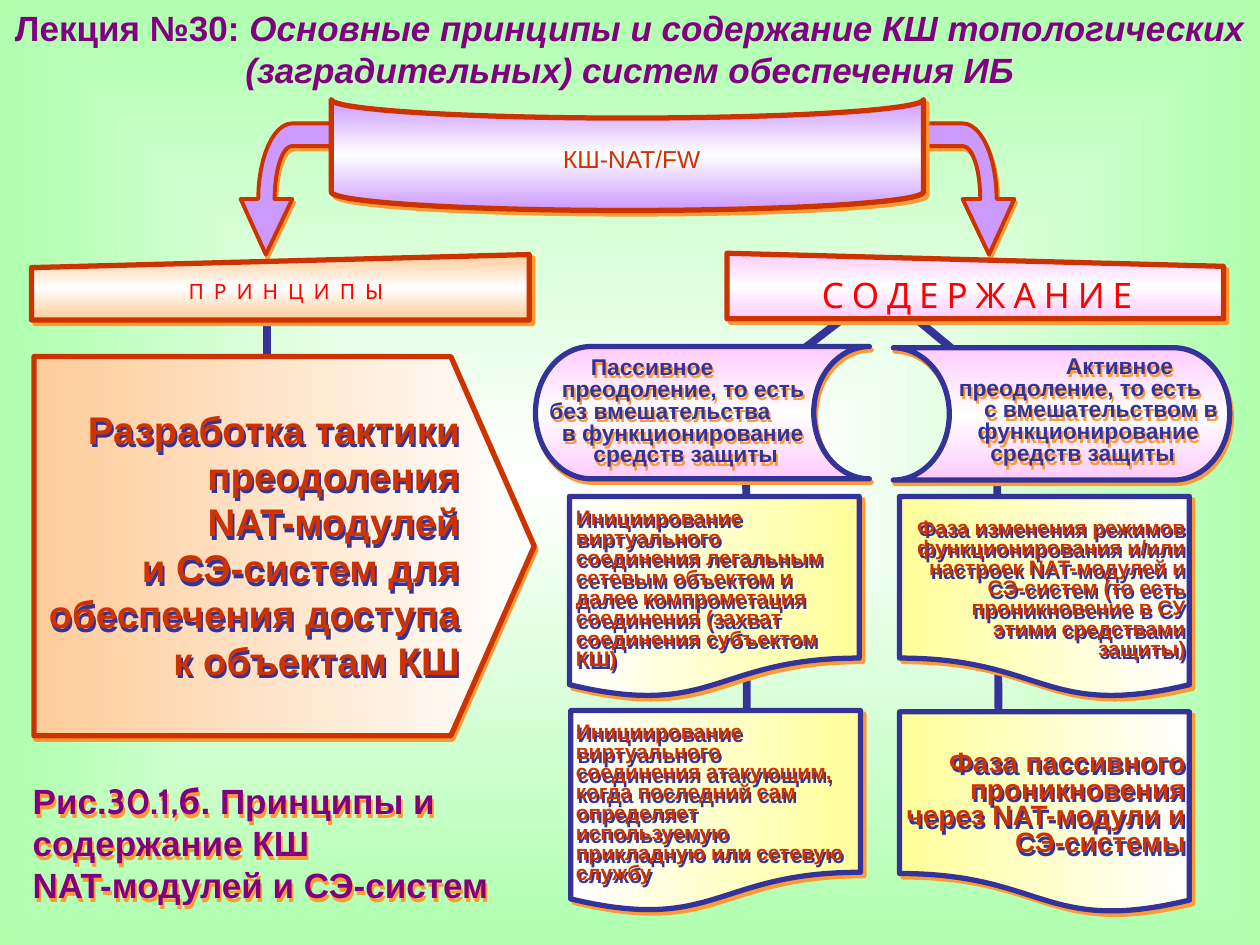
from dataclasses import dataclass

from lxml.etree import SubElement
from pptx import Presentation
from pptx.dml.color import RGBColor
from pptx.enum.shapes import MSO_CONNECTOR, MSO_SHAPE
from pptx.enum.text import MSO_ANCHOR, MSO_AUTO_SIZE, PP_ALIGN
from pptx.oxml import parse_xml
from pptx.oxml.ns import nsdecls, qn
from pptx.util import Inches, Pt


@dataclass(frozen=True)
class Theme:
    green: str = "AFFFAF"
    white: str = "FFFFFF"
    purple: str = "800080"
    navy: str = "333399"
    rust: str = "CC3300"
    red: str = "FF0000"
    orange: str = "FF9933"
    peach: str = "FFCC99"
    lilac: str = "CC99FF"
    pink: str = "FFCCFF"
    yellow: str = "FFFF99"
    font: str = "Arial"
    label_font: str = "Cabin"
    heading: float = 20
    tactics: float = 22
    phase: float = 16
    banner: float = 14
    way: float = 13
    small: float = 12


THEME = Theme()


@dataclass(frozen=True)
class Box:
    left: float
    top: float
    width: float
    height: float

    def lengths(self) -> list:
        return [Inches(v) for v in (self.left, self.top, self.width, self.height)]


@dataclass(frozen=True)
class Style:
    size: float
    color: str
    bold: bool = True
    italic: bool = False
    font: str = THEME.font
    spacing: float = 0


@dataclass(frozen=True)
class Card:
    box: Box
    text_box: Box
    lines: tuple
    size: float
    flipped: bool


def set_gradient(fill_format, parent, colors: tuple, angle: int | None) -> None:
    """Replace the fill of parent by a gradient; without an angle it spreads from the centre."""
    fill_format.solid()
    last = len(colors) - 1
    stops = "".join(
        f'<a:gs pos="{100000 * i // last}"><a:srgbClr val="{color}"/></a:gs>'
        for i, color in enumerate(colors)
    )
    if angle is None:
        shade = '<a:path path="shape"><a:fillToRect l="50000" t="50000" r="50000" b="50000"/></a:path>'
    else:
        shade = f'<a:lin ang="{angle * 60000}" scaled="0"/>'
    gradient = parse_xml(f'<a:gradFill {nsdecls("a")} rotWithShape="1"><a:gsLst>{stops}</a:gsLst>{shade}</a:gradFill>')
    solid = parent.find(qn("a:solidFill"))
    parent.replace(solid, gradient)


def add_shadow(shape, color: str, distance: float = 2.2, angle: int = 63) -> None:
    shape.shadow.inherit = False
    effects = shape._element.spPr.find(qn("a:effectLst"))
    outer = SubElement(effects, qn("a:outerShdw"), dist=str(Pt(distance)), dir=str(angle * 60000),
                       algn="ctr", rotWithShape="0")
    SubElement(outer, qn("a:srgbClr"), val=color)


def set_line(shape, color: str, width: float) -> None:
    shape.line.color.rgb = RGBColor.from_string(color)
    shape.line.width = Pt(width)


def add_panel(slide, kind, box: Box, colors: tuple, angle: int, border: str,
              deep: bool = True, flipped: bool = False, rotation: int = 0):
    shape = slide.shapes.add_shape(kind, *box.lengths())
    shape.rotation = rotation
    if flipped:
        shape._element.spPr.xfrm.set("flipH", "1")
    set_gradient(shape.fill, shape._element.spPr, colors, angle)
    set_line(shape, border, 3)
    add_shadow(shape, THEME.orange, *((2.8, 45) if deep else (2.2, 63)))
    return shape


def add_run(paragraph, text: str, style: Style) -> None:
    run = paragraph.add_run()
    run.text = text
    run.font.name = style.font
    run.font.size = Pt(style.size)
    run.font.bold = style.bold
    run.font.italic = style.italic
    run.font.color.rgb = RGBColor.from_string(style.color)
    if style.spacing:
        run._r.get_or_add_rPr().set("spc", str(int(style.spacing * 100)))


def fill_frame(frame, paragraphs: list, align=PP_ALIGN.LEFT, line_spacing: float = 1, indents: tuple = ()) -> None:
    """Each paragraph is a list of (text, style) runs."""
    for i, runs in enumerate(paragraphs):
        paragraph = frame.paragraphs[0] if i == 0 else frame.add_paragraph()
        if indents:
            paragraph._p.get_or_add_pPr().set("marL", str(Inches(indents[i])))
        paragraph.alignment = align
        paragraph.line_spacing = line_spacing
        paragraph.space_before = Pt(0)
        for text, style in runs:
            add_run(paragraph, text, style)


def add_block(slide, box: Box, paragraphs: list, shadow: str, **layout) -> None:
    """Wrapped text without margins, centred vertically, with shadowed letters."""
    shape = slide.shapes.add_textbox(*box.lengths())
    frame = shape.text_frame
    frame.word_wrap = True
    frame.vertical_anchor = MSO_ANCHOR.MIDDLE
    frame.margin_left = frame.margin_top = frame.margin_right = frame.margin_bottom = 0
    fill_frame(frame, paragraphs, **layout)
    add_shadow(shape, shadow)


def add_label(slide, box: Box, text: str, style: Style) -> None:
    frame = slide.shapes.add_textbox(*box.lengths()).text_frame
    frame.word_wrap = False
    fill_frame(frame, [[(text, style)]], align=PP_ALIGN.CENTER)


def add_outline(slide, points: list, closed: bool):
    (x, y), *rest = [(Inches(px), Inches(py)) for px, py in points]
    builder = slide.shapes.build_freeform(x, y)
    builder.add_line_segments(rest, close=closed)
    return builder.convert_to_shape()


def curve(*controls: tuple, steps: int = 12) -> list:
    """Points of a cubic Bezier curve."""
    weights = [((1 - t) ** 3, 3 * t * (1 - t) ** 2, 3 * t * t * (1 - t), t ** 3)
               for t in (i / steps for i in range(steps + 1))]
    return [tuple(sum(w * c[axis] for w, c in zip(row, controls)) for axis in (0, 1)) for row in weights]


def add_bent_arrow(slide, mirrored: bool) -> None:
    points = [(2.11, 2.02), (1.91, 1.58),
              *curve((2.05, 1.58), (2.05, 1.25), (2.17, 0.98), (2.32, 0.98)),
              (2.63, 0.98), (2.63, 1.16),
              *curve((2.32, 1.16), (2.24, 1.16), (2.18, 1.35), (2.18, 1.58)),
              (2.32, 1.58)]
    if mirrored:
        points = [(9.96 - x, y) for x, y in points]
    arrow = add_outline(slide, points, closed=True)
    arrow.fill.solid()
    arrow.fill.fore_color.rgb = RGBColor.from_string(THEME.lilac)
    set_line(arrow, THEME.rust, 2.25)
    add_shadow(arrow, THEME.orange)


def add_links(slide) -> None:
    stem = slide.shapes.add_connector(MSO_CONNECTOR.STRAIGHT, *Box(2.12, 2.3, 2.12, 3.26).lengths())
    set_line(stem, THEME.navy, 4.5)
    SubElement(stem._element.spPr, qn("a:effectLst"))
    branches = add_outline(slide, [(5.93, 6.7), (5.92, 3.12), (6.99, 2.3), (7.91, 3.06), (7.93, 6.64)], closed=False)
    branches.fill.background()
    branches.shadow.inherit = False
    set_line(branches, THEME.navy, 4.5)


def add_card(slide, card: Card) -> None:
    add_panel(slide, MSO_SHAPE.FLOWCHART_DOCUMENT, card.box, (THEME.white, THEME.yellow), 0, THEME.navy,
              flipped=card.flipped)
    style = Style(card.size, THEME.rust)
    add_block(slide, card.text_box, [[(line, style)] for line in card.lines], THEME.navy,
              align=PP_ALIGN.RIGHT if card.flipped else PP_ALIGN.LEFT, line_spacing=0.8)


CARDS = (
    Card(Box(4.52, 3.94, 2.3, 1.6), Box(4.57, 4.04, 2.22, 1.28),
         ("Инициирование виртуального",
          "соединения легальным сетевым объектом и далее компрометация соединения (захват соединения субъектом КШ)"),
         THEME.small, False),
    Card(Box(4.53, 5.64, 2.3, 1.6), Box(4.57, 5.74, 2.22, 1.28),
         ("Инициирование виртуального", "соединения атакующим, когда последний сам определяет",
          "используемую прикладную или сетевую службу"), THEME.small, False),
    Card(Box(7.14, 3.94, 2.3, 1.6), Box(7.19, 4.12, 2.22, 1.12),
         ("Фаза изменения режимов",
          "функционирования и/или настроек NAT-модулей и СЭ-систем (то есть проникновение в СУ",
          "этими средствами", "защиты)"), THEME.small, True),
    Card(Box(7.14, 5.65, 2.3, 1.6), Box(7.19, 5.96, 2.22, 0.85),
         ("Фаза пассивного проникновения через NAT-модули и СЭ-системы",), THEME.phase, True),
)
# Panel, mirrored, text box, lines with their indents
WAYS = (
    (Box(7.09, 2.76, 2.67, 1.05), True, Box(7.56, 2.83, 2.15, 0.87),
     ("Активное", "преодоление, то есть", "с вмешательством в", "функционирование", "средств защиты"),
     (0.9, 0.05, 0.25, 0.2, 0.3)),
    (Box(4.25, 2.75, 2.65, 1.05), False, Box(4.36, 2.84, 2.21, 0.87),
     ("Пассивное", "преодоление, то есть", "без вмешательства", "в функционирование", "средств защиты"),
     (0.33, 0.1, 0, 0.1, 0.35)),
)
BRANCHES = (
    (Box(0.25, 2.02, 3.95, 0.52), THEME.peach, False, Box(0.66, 2.16, 3.22, 0.31), "П Р И Н Ц И П Ы",
     Style(THEME.small, THEME.red, False, font=THEME.label_font, spacing=1.5)),
    (Box(5.77, 2.01, 3.94, 0.52), THEME.pink, True, Box(6.14, 2.12, 3.23, 0.36), "С О Д Е Р Ж А Н И Е",
     Style(THEME.heading, THEME.red, False, font=THEME.label_font)),
)


def add_headings(slide) -> None:
    plain = Style(THEME.heading, THEME.purple)
    slanted = Style(THEME.heading, THEME.purple, italic=True)
    title = slide.shapes.title
    title.left, title.top, title.width, title.height = Box(0, 0, 10, 0.77).lengths()
    frame = title.text_frame
    frame.auto_size = MSO_AUTO_SIZE.NONE
    frame.vertical_anchor = MSO_ANCHOR.TOP
    frame.margin_left = frame.margin_right = Inches(0.05)
    fill_frame(frame, [[("Лекция №30: ", plain), ("Основные принципы и содержание КШ топологических", slanted)],
                       [("(заградительных) систем обеспечения ИБ", slanted)]], align=PP_ALIGN.CENTER)
    number = Style(THEME.heading, THEME.purple, font=THEME.label_font)
    add_block(slide, Box(0.26, 6.19, 3.93, 1),
              [[("Рис.", plain), ("30.1,б", number), (". Принципы и содержание КШ", plain)],
               [("NAT-модулей и СЭ-систем", plain)]], THEME.orange)


def add_tactics(slide) -> None:
    pentagon = add_panel(slide, MSO_SHAPE.PENTAGON, Box(0.27, 2.83, 3.97, 3.01), (THEME.peach, THEME.white), 0,
                         THEME.rust, deep=False)
    pentagon.adjustments[0] = 0.22
    lines = ("Разработка тактики", "преодоления", "NAT-модулей", "и СЭ-систем для обеспечения доступа к объектам КШ")
    style = Style(THEME.tactics, THEME.rust)
    add_block(slide, Box(0.31, 3.22, 3.34, 2.2), [[(line, style)] for line in lines], THEME.navy,
              align=PP_ALIGN.RIGHT)


def main() -> None:
    presentation = Presentation()
    presentation.slide_width, presentation.slide_height = Inches(10), Inches(7.5)
    slide = presentation.slides.add_slide(presentation.slide_layouts[5])
    background = slide.background.fill
    background.solid()
    set_gradient(background, slide._element.cSld.bg.bgPr, (THEME.white, THEME.green), None)

    add_headings(slide)
    add_links(slide)
    add_tactics(slide)
    for mirrored in (False, True):
        add_bent_arrow(slide, mirrored)
    add_panel(slide, MSO_SHAPE.FLOWCHART_STORED_DATA, Box(4.54, -1.12, 0.88, 4.7),
              (THEME.lilac, THEME.white, THEME.lilac), 0, THEME.rust, rotation=270)
    add_label(slide, Box(3.02, 1.09, 3.99, 0.37), "КШ-NAT/FW", Style(THEME.banner, THEME.rust, False))
    for box, tint, flipped, label_box, text, style in BRANCHES:
        add_panel(slide, MSO_SHAPE.FLOWCHART_MANUAL_INPUT, box, (tint, THEME.white, tint), 90, THEME.rust,
                  flipped=flipped)
        add_label(slide, label_box, text, style)
    for box, flipped, text_box, lines, indents in WAYS:
        add_panel(slide, MSO_SHAPE.FLOWCHART_STORED_DATA, box, (THEME.pink, THEME.white, THEME.pink), 90,
                  THEME.navy, deep=False, flipped=flipped)
        style = Style(THEME.way, THEME.navy)
        add_block(slide, text_box, [[(line, style)] for line in lines], THEME.orange, line_spacing=0.8,
                  indents=indents)
    for card in CARDS:
        add_card(slide, card)
    presentation.save("out.pptx")


if __name__ == "__main__":
    main()
